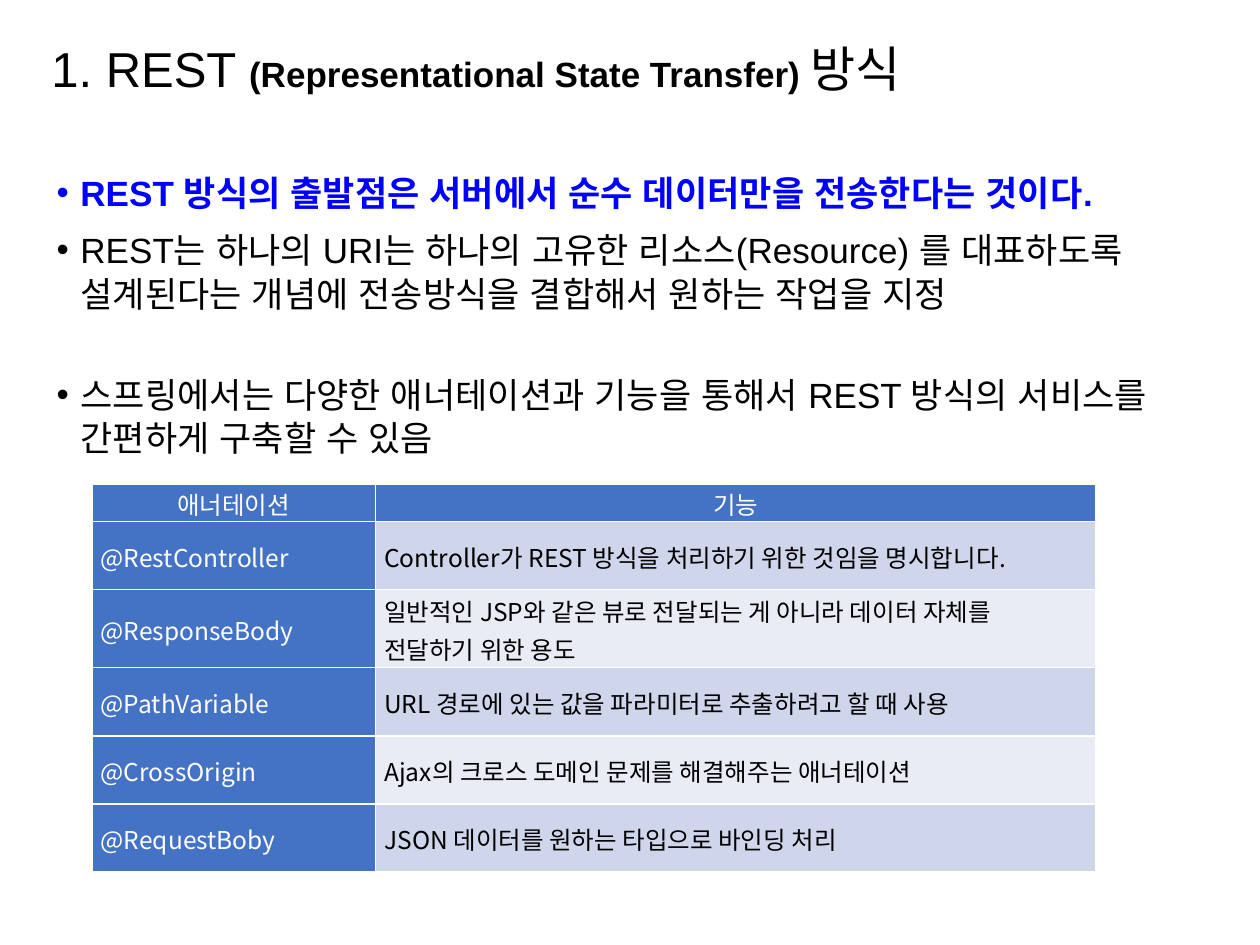
import pptx
import pptx.util
import pptx.dml.color
import pptx.enum.text
from lxml import etree

Inches, Pt = pptx.util.Inches, pptx.util.Pt
RGB = pptx.dml.color.RGBColor.from_string
ALIGN = pptx.enum.text.PP_ALIGN
MIDDLE = pptx.enum.text.MSO_ANCHOR.MIDDLE
qn = pptx.oxml.ns.qn

THEME = {
    "font": "Arial", "table_font": "Noto Sans CJK KR",
    "title": 28, "body": 20, "cell": 14,
    "ink": "000000", "key": "0000FF", "light": "FFFFFF",
    "header": "4472C4", "bands": ("CFD5EA", "E9EBF5"),
}

TITLE = [
    ("1. REST ", "title", False),
    ("(Representational State Transfer) ", "body", True),
    ("방식", "title", False),
]
POINTS = [
    ("REST 방식의 출발점은 서버에서 순수 데이터만을 전송한다는 것이다.", "key", True, 0),
    ("REST는 하나의 URI는 하나의 고유한 리소스(Resource) 를 대표하도록\n"
     "설계된다는 개념에 전송방식을 결합해서 원하는 작업을 지정", "ink", False, 25),
    ("스프링에서는 다양한 애너테이션과 기능을 통해서 REST 방식의 서비스를 "
     "간편하게 구축할 수 있음", "ink", False, 0),
]
ANNOTATIONS = [
    ("애너테이션", "기능"),
    ("@RestController", "Controller가 REST 방식을 처리하기 위한 것임을 명시합니다."),
    ("@ResponseBody", "일반적인 JSP와 같은 뷰로 전달되는 게 아니라 데이터 자체를 전달하기 위한 용도"),
    ("@PathVariable", "URL 경로에 있는 값을 파라미터로 추출하려고 할 때 사용"),
    ("@CrossOrigin", "Ajax의 크로스 도메인 문제를 해결해주는 애너테이션"),
    ("@RequestBoby", "JSON 데이터를 원하는 타입으로 바인딩 처리"),
]
COLUMNS = (2.25, 5.72)
ROWS = (0.3, 0.54, 0.62, 0.54, 0.54, 0.54)


def style(font, face, size, color, bold=False):
    font.name = THEME[face]
    font.size = Pt(THEME[size])
    font.color.rgb = RGB(THEME[color])
    font.bold = bold
    latin = font._element.find(qn("a:latin"))
    latin.addnext(etree.Element(qn("a:ea"), typeface=THEME[face]))


def text_frame(slide, left, top, width, height):
    frame = slide.shapes.add_textbox(*map(Inches, (left, top, width, height))).text_frame
    frame.word_wrap = True
    return frame


def add_bullet(paragraph, indent):
    props = paragraph._p.get_or_add_pPr()
    props.set("marL", str(Inches(indent)))
    props.set("indent", str(-Inches(indent)))
    defaults = props.find(qn("a:defRPr"))
    defaults.addprevious(etree.Element(qn("a:buFont"), typeface=THEME["font"]))
    defaults.addprevious(etree.Element(qn("a:buChar"), char="•"))


def add_title(slide):
    frame = text_frame(slide, 0.31, 0.14, 8.62, 0.85)
    frame.vertical_anchor = MIDDLE
    heading = frame.paragraphs[0]
    heading.line_spacing = 0.9
    for words, size, bold in TITLE:
        part = heading.add_run()
        part.text = words
        style(part.font, "font", size, "ink", bold)


def add_points(slide):
    frame = text_frame(slide, 0.35, 1.3, 9.29, 2.38)
    for index, (words, color, bold, gap) in enumerate(POINTS):
        point = frame.add_paragraph() if index else frame.paragraphs[0]
        point.text = words
        point.line_spacing = Pt(25)
        point.space_before = Pt(7.5)
        point.space_after = Pt(gap)
        style(point.font, "font", "body", color, bold)
        add_bullet(point, 0.19)


def add_annotations(slide):
    table = slide.shapes.add_table(
        len(ROWS), len(COLUMNS), Inches(0.73), Inches(3.84),
        Inches(sum(COLUMNS)), Inches(sum(ROWS))).table
    for column, width in zip(table.columns, COLUMNS):
        column.width = Inches(width)
    for r, (entry, height) in enumerate(zip(ANNOTATIONS, ROWS)):
        table.rows[r].height = Inches(height)
        for c, words in enumerate(entry):
            heading = r == 0 or c == 0
            cell = table.cell(r, c)
            cell.fill.solid()
            cell.fill.fore_color.rgb = RGB(
                THEME["header"] if heading else THEME["bands"][(r - 1) % 2])
            cell.vertical_anchor = MIDDLE
            cell.margin_left = cell.margin_right = Inches(0.07)
            cell.margin_top = cell.margin_bottom = 0
            cell.text = words
            paragraph = cell.text_frame.paragraphs[0]
            paragraph.alignment = ALIGN.LEFT if r else ALIGN.CENTER
            paragraph.line_spacing = 1.07
            style(paragraph.font, "table_font", "cell", "light" if heading else "ink")


def main():
    deck = pptx.Presentation()
    deck.slide_width, deck.slide_height = Inches(10), Inches(7.5)
    slide = deck.slides.add_slide(deck.slide_layouts[6])
    add_title(slide)
    add_points(slide)
    add_annotations(slide)
    deck.save("out.pptx")


if __name__ == "__main__":
    main()
